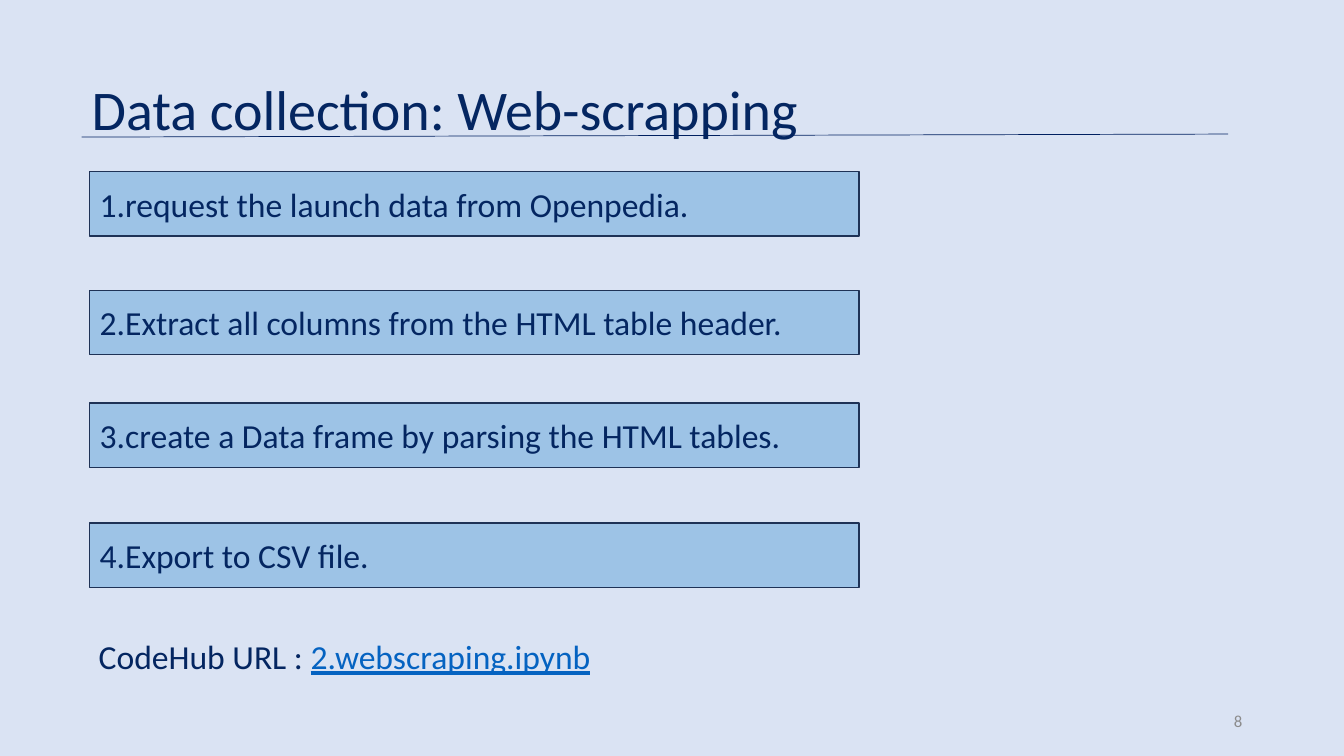
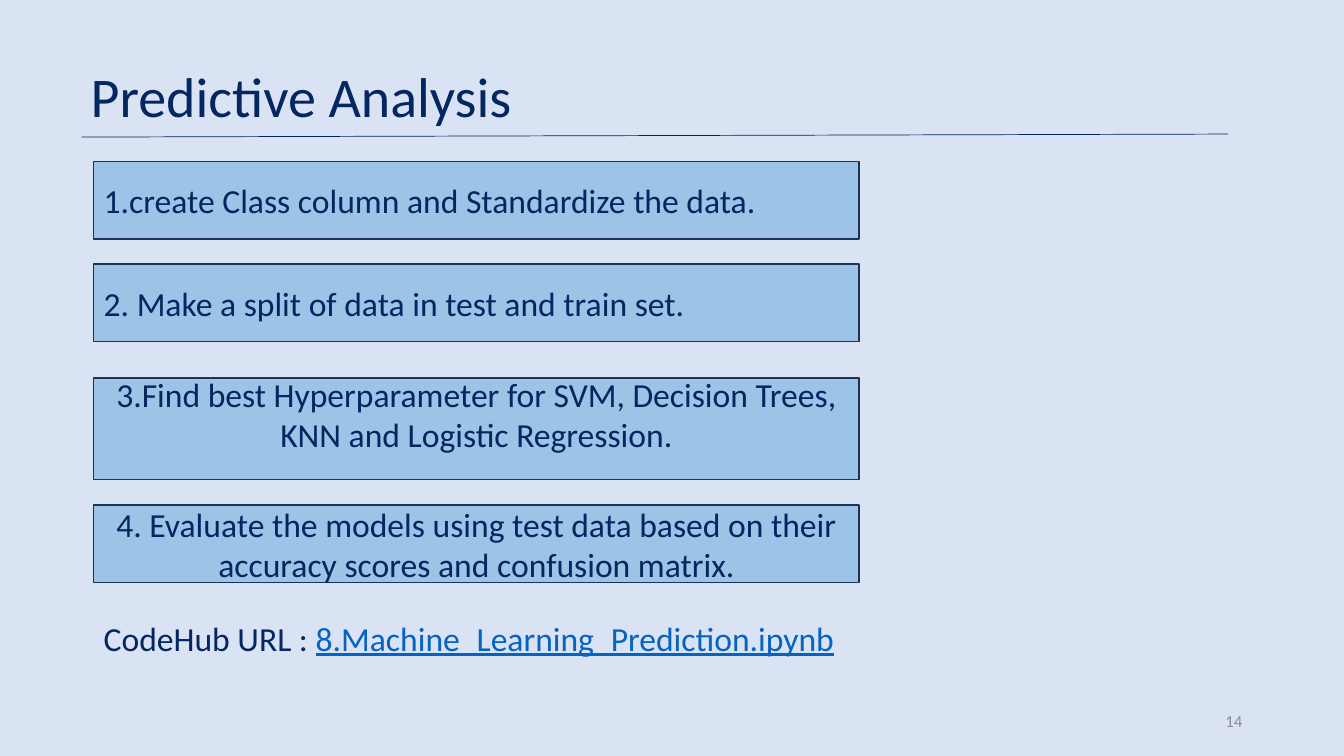
import dataclasses

import pptx
import pptx.dml.color
import pptx.enum.shapes
import pptx.enum.text
import pptx.oxml.ns
import pptx.util
from lxml import etree

Inches = pptx.util.Inches
ALIGN = pptx.enum.text.PP_ALIGN
ANCHOR = pptx.enum.text.MSO_ANCHOR


@dataclasses.dataclass(frozen=True)
class Theme:
    font: str = "Calibri"
    background: str = "DAE3F3"
    text: str = "042661"
    rule: str = "002060"
    box_fill: str = "9DC3E6"
    box_line: str = "1E3256"
    link: str = "0563C1"
    muted: str = "8C8C8C"
    title_size: int = 40
    body_size: int = 24
    number_size: int = 12


def rgb(value):
    return pptx.dml.color.RGBColor.from_string(value)


class Deck:
    """Holds the shared style and the slide being built."""

    def __init__(self, theme):
        self.theme = theme
        self.slide = None
        self.presentation = pptx.Presentation()
        self.presentation.slide_width = Inches(13.33)
        self.presentation.slide_height = Inches(7.5)
        fill = self.presentation.slide_master.background.fill
        fill.solid()
        fill.fore_color.rgb = rgb(theme.background)

    def format_run(self, run, size, color, underline=None):
        run.font.name = self.theme.font
        run.font.size = pptx.util.Pt(size)
        run.font.color.rgb = rgb(color)
        run.font.underline = underline

    def set_text(self, shape, text, size, color, align=ALIGN.LEFT, anchor=ANCHOR.TOP):
        frame = shape.text_frame
        frame.text = text
        frame.word_wrap = True
        frame.auto_size = pptx.enum.text.MSO_AUTO_SIZE.NONE
        frame.vertical_anchor = anchor
        paragraph = frame.paragraphs[0]
        paragraph.alignment = align
        self.format_run(paragraph.runs[0], size, color)
        return paragraph

    def add_slide(self, title, title_place, number):
        layout = self.presentation.slide_layouts.get_by_name("Title Only")
        self.slide = self.presentation.slides.add_slide(layout)
        self.add_rule()
        self.add_title(title, title_place)
        self.add_number(number)

    def add_rule(self):
        rule = self.slide.shapes.add_connector(
            pptx.enum.shapes.MSO_CONNECTOR.STRAIGHT,
            Inches(0.81), Inches(1.36), Inches(12.18), Inches(1.33))
        rule.line.color.rgb = rgb(self.theme.rule)
        rule.line.width = pptx.util.Pt(0.5)
        etree.SubElement(rule.element.spPr, pptx.oxml.ns.qn("a:effectLst"))

    def add_title(self, text, place):
        title = self.slide.shapes.title
        title.left, title.top, title.width, title.height = map(Inches, place)
        self.set_text(title, text, self.theme.title_size, self.theme.text)

    def add_number(self, number):
        box = self.slide.shapes.add_textbox(
            Inches(9.42), Inches(6.95), Inches(3), Inches(0.4))
        self.set_text(box, str(number), self.theme.number_size, self.theme.muted,
                      ALIGN.RIGHT, ANCHOR.MIDDLE)

    def add_step(self, text, left, top, width, height, align=ALIGN.LEFT):
        step = self.slide.shapes.add_shape(
            pptx.enum.shapes.MSO_SHAPE.RECTANGLE,
            Inches(left), Inches(top), Inches(width), Inches(height))
        step.shadow.inherit = False
        step.fill.solid()
        step.fill.fore_color.rgb = rgb(self.theme.box_fill)
        step.line.color.rgb = rgb(self.theme.box_line)
        step.line.width = pptx.util.Pt(1)
        self.set_text(step, text, self.theme.body_size, self.theme.text,
                      align, ANCHOR.MIDDLE)
        return step

    def add_source(self, name, left, top):
        box = self.slide.shapes.add_textbox(
            Inches(left), Inches(top), Inches(7.52), Inches(0.5))
        paragraph = self.set_text(box, "CodeHub URL : ", self.theme.body_size,
                                  self.theme.text)
        run = paragraph.add_run()
        run.text = name
        self.format_run(run, self.theme.body_size, self.theme.link, True)


def build_web_scraping(deck):
    deck.add_slide("Data collection: Web-scrapping", (0.81, 0.69, 7.4, 0.77), 8)
    steps = [
        ("1.request the launch data from Openpedia.", 1.7),
        ("2.Extract all columns from the HTML table header.", 2.88),
        ("3.create a Data frame by parsing the HTML tables.", 4),
        ("4.Export to CSV file.", 5.19),
    ]
    for text, top in steps:
        deck.add_step(text, 0.89, top, 7.63, 0.64)
    deck.add_source("2.webscraping.ipynb", 0.88, 6.26)


def build_predictive_analysis(deck):
    deck.add_slide("Predictive Analysis", (0.8, 0.56, 6.23, 0.77), 14)
    left, width, height = 0.93, 7.59, 0.77
    deck.add_step("1.create Class column and Standardize the data.",
                  left, 1.6, width, height)
    deck.add_step("2. Make a split of data in test and train set.",
                  left, 2.62, width, height)
    tuning = deck.add_step(
        "3.Find best Hyperparameter for SVM, Decision Trees, "
        "KNN and Logistic Regression.",
        left, 3.75, width, 1.01, ALIGN.CENTER)
    # The tall box keeps its text in the upper part
    tuning.text_frame.margin_top = 0
    tuning.text_frame.margin_bottom = Inches(0.3)
    deck.add_step(
        "4. Evaluate the models using test data based on their "
        "accuracy scores and confusion matrix.",
        left, 5.01, width, height, ALIGN.CENTER)
    deck.add_source("8.Machine_Learning_Prediction.ipynb", left, 6.08)


def main():
    deck = Deck(Theme())
    build_web_scraping(deck)
    build_predictive_analysis(deck)
    deck.presentation.save("out.pptx")


if __name__ == "__main__":
    main()
